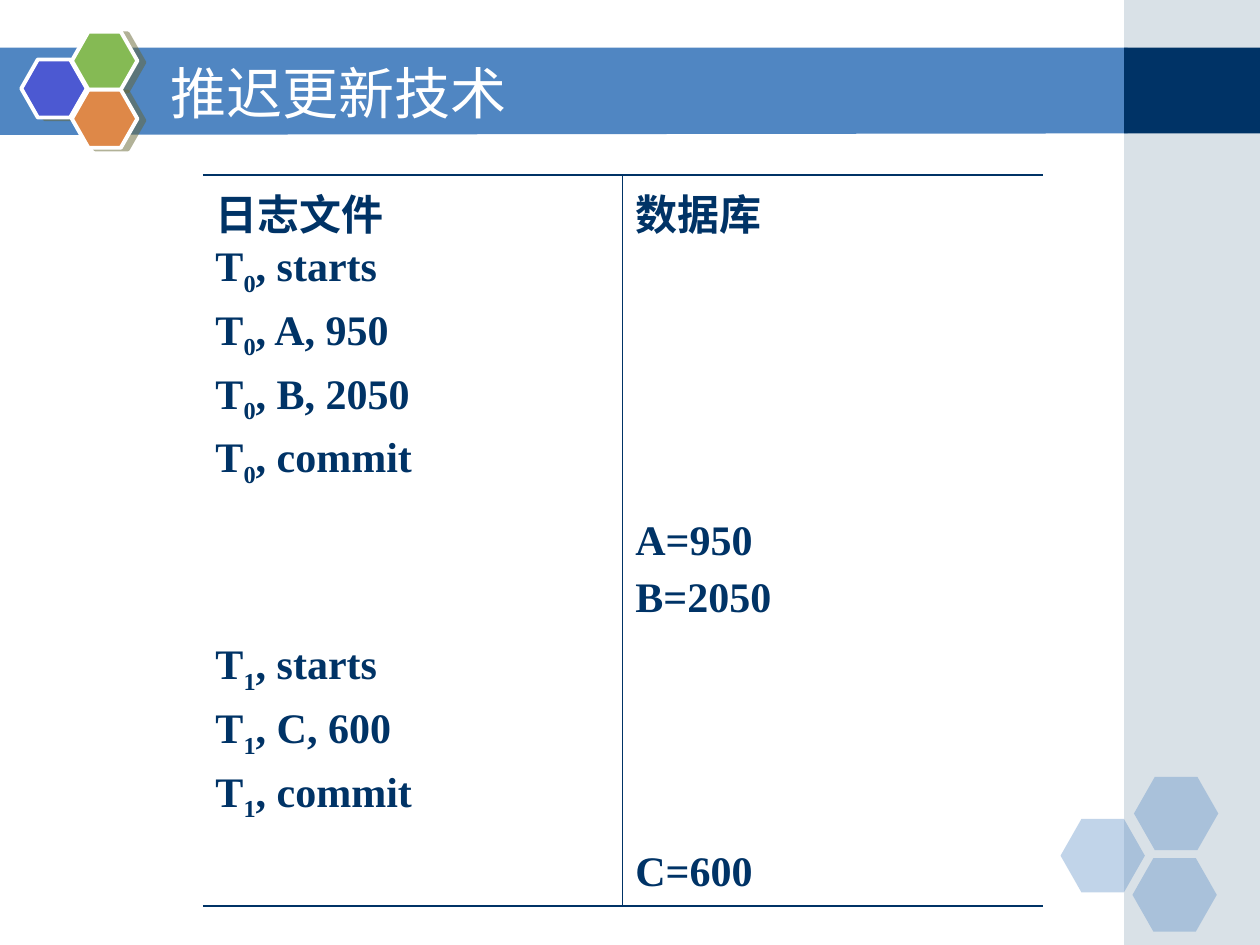
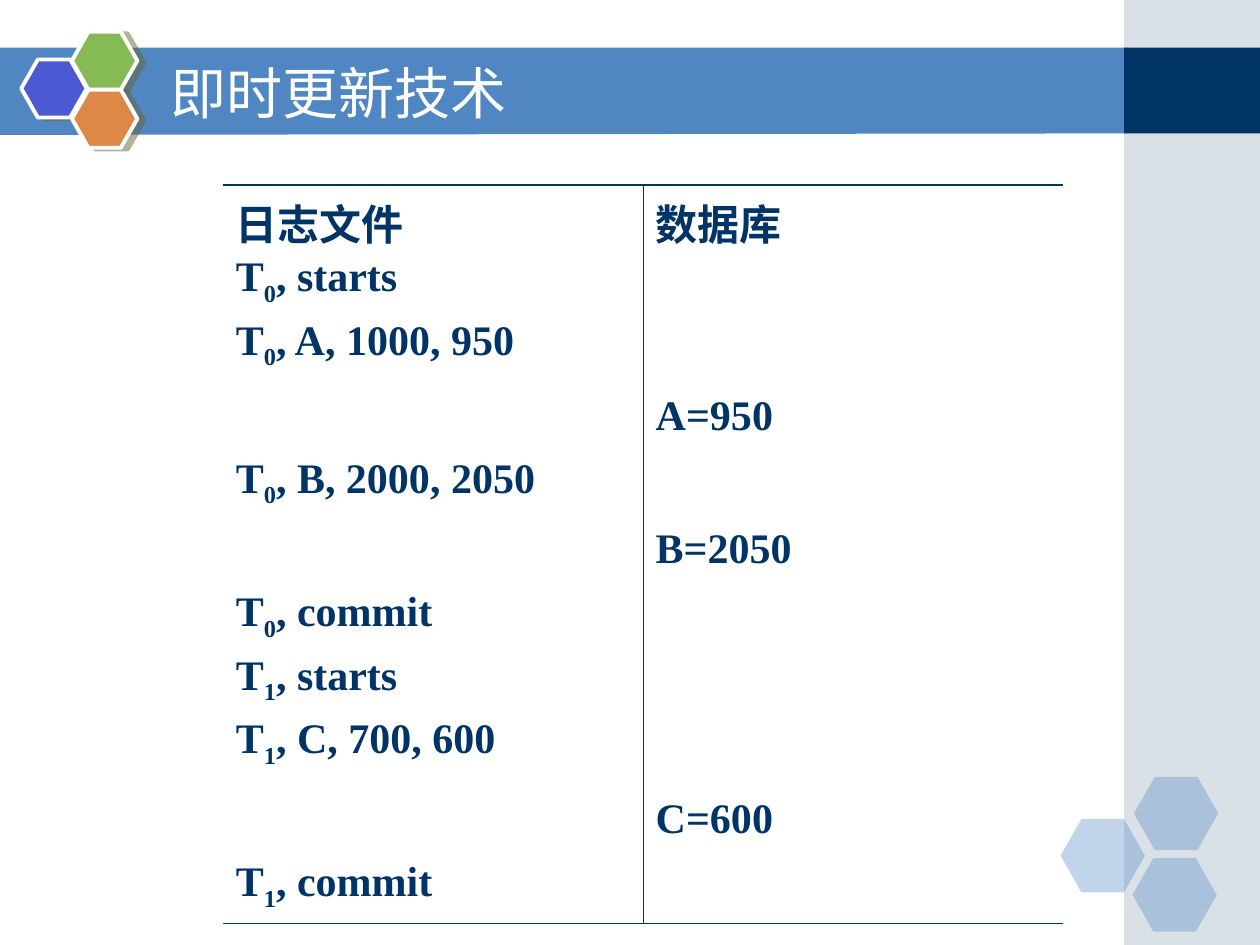
from lxml import etree
from pptx import Presentation
from pptx.dml.color import RGBColor
from pptx.enum.shapes import MSO_SHAPE
from pptx.enum.text import MSO_ANCHOR
from pptx.oxml.ns import qn
from pptx.util import Cm, Pt

RECTANGLE = MSO_SHAPE.RECTANGLE
HEXAGON = MSO_SHAPE.HEXAGON
MIDDLE = MSO_ANCHOR.MIDDLE

COLORS = {
    "band": "5086C2",
    "strip": "A0B5C4",
    "navy": "003366",
    "white": "FFFFFF",
    "violet": "4C59D2",
    "green": "85BA54",
    "orange": "DE8848",
    "shadow": "666633",
}

TITLE_FONT = {"size": Pt(32), "name": "DejaVu Sans"}
TABLE_FONT = {"size": Pt(24), "name": "Times New Roman", "bold": True}
RULE_WIDTH = Pt(1.08)
DIVIDER_WIDTH = Pt(0.45)

# Boxes are left, top, width, height in centimetres.
SLIDE_SIZE = (25.4, 19.05)
STRIP_BOX = (22.66, 0, 2.74, 19.05)
BAND_BOX = (0, 0.96, 22.73, 1.76)
TITLE_BOX = (3.18, 1.07, 18.62, 1.57)
EMBLEM_BOX = (0.43, 0.64, 2.34, 2.34)
CORNER_BOX = (21.38, 15.66, 3.18, 3.12)

HEADER = (1.27, ["日志文件"], ["数据库"])

# Each row is its height, the log lines and the database lines.
SLIDES = [
    ("推迟更新技术", (4.09, 3.53, 16.93), [
        HEADER,
        (5.51, ["T0, starts", "T0, A, 950", "T0, B, 2050", "T0, commit"], []),
        (2.51, [], ["A=950", "B=2050"]),
        (4.17, ["T1, starts", "T1, C, 600", "T1, commit"], []),
        (1.27, [], ["C=600"]),
    ]),
    ("即时更新技术", (4.5, 3.73, 16.93), [
        HEADER,
        (2.79, ["T0, starts", "T0, A, 1000, 950"], []),
        (1.27, [], ["A=950"]),
        (1.42, ["T0, B, 2000, 2050"], []),
        (1.27, [], ["B=2050"]),
        (4.17, ["T0, commit", "T1, starts", "T1, C, 700, 600"], []),
        (1.27, [], ["C=600"]),
        (1.42, ["T1, commit"], []),
    ]),
]


def rgb(color):
    return RGBColor.from_string(COLORS[color])


def add_color(parent, color, alpha=100):
    value = etree.SubElement(parent, qn("a:srgbClr"), val=COLORS[color])
    if alpha < 100:
        etree.SubElement(value, qn("a:alpha"), val=str(alpha * 1000))


def paint(shape, color, alpha=100):
    """Give a shape a plain fill with no line or shadow."""
    shape.shadow.inherit = False
    shape.line.fill.background()
    shape.fill.solid()
    shape.fill.fore_color.rgb = rgb(color)
    if alpha < 100:
        value = shape.fill._xPr.find(".//" + qn("a:srgbClr"))
        etree.SubElement(value, qn("a:alpha"), val=str(alpha * 1000))


def add_filled(slide, preset, box, color, alpha=100):
    shape = slide.shapes.add_shape(preset, *map(Cm, box))
    paint(shape, color, alpha)
    return shape


def add_run(paragraph, text, font_format, color):
    run = paragraph.add_run()
    run.text = text
    for attribute, value in font_format.items():
        setattr(run.font, attribute, value)
    run.font.color.rgb = rgb(color)
    return run


def add_band(slide, box):
    """Draw the title band, whose lower edge rises slightly to the right."""
    left, top, width, height = map(Cm, box)
    right, bottom = left + width, top + height
    outline = slide.shapes.build_freeform(left, top)
    outline.add_line_segments(
        [(right, top), (right, bottom - Cm(0.03)), (left, bottom)])
    paint(outline.convert_to_shape(), "band")


def add_side_strip(slide, box):
    left, _, width, _ = box
    add_filled(slide, RECTANGLE, box, "strip", 40)
    add_filled(slide, RECTANGLE, (left, BAND_BOX[1], width, 1.73), "navy")


def add_hexagons(slide, box, size, offsets, colors, alpha=100):
    left, top = box[:2]
    hexagons = []
    for (dx, dy), color in zip(offsets, colors):
        hexagon = add_filled(
            slide, HEXAGON, (left + dx, top + dy, *size), color, alpha)
        hexagon.adjustments[0] = 0.285
        hexagons.append(hexagon)
    return hexagons


def add_corner(slide, box):
    add_hexagons(slide, box, (1.7, 1.48), [(0, 0.85), (1.48, 0), (1.45, 1.64)],
                 ["band"] * 3, 35)


def add_emblem(slide, box):
    hexagons = add_hexagons(
        slide, box, (1.32, 1.17), [(0, 0.56), (1.02, 0), (1.02, 1.17)],
        ["violet", "green", "orange"])
    for hexagon in hexagons:
        hexagon.line.color.rgb = rgb("white")
        hexagon.line.width = Pt(2.25)
        effects = hexagon._element.spPr.find(qn("a:effectLst"))
        shadow = etree.SubElement(
            effects, qn("a:outerShdw"), dist=str(Pt(4.1)),
            dir=str(14 * 60000), algn="ctr", rotWithShape="0")
        add_color(shadow, "shadow", 50)


def add_title(slide, box, title):
    frame = slide.shapes.add_textbox(*map(Cm, box)).text_frame
    frame.word_wrap = True
    frame.vertical_anchor = MIDDLE
    add_run(frame.paragraphs[0], title, TITLE_FONT, "white")


def set_borders(cell, widths):
    """Draw the sides that have a width and clear the others."""
    properties = cell._tc.get_or_add_tcPr()
    for side in "LRTB":
        width = widths.get(side, 0)
        border = etree.SubElement(properties, qn(f"a:ln{side}"), w=str(width))
        if width:
            add_color(etree.SubElement(border, qn("a:solidFill")), "navy")
        else:
            etree.SubElement(border, qn("a:noFill"))


def write_lines(cell, lines):
    """Write one paragraph a line, lowering the number of a transaction."""
    frame = cell.text_frame
    for index, line in enumerate(lines):
        paragraph = frame.add_paragraph() if index else frame.paragraphs[0]
        if index:
            paragraph.space_before = Pt(6)
        if line.startswith("T"):
            add_run(paragraph, line[0], TABLE_FONT, "navy")
            number = add_run(paragraph, line[1], TABLE_FONT, "navy")
            number._r.get_or_add_rPr().set("baseline", "-25000")
            line = line[2:]
        add_run(paragraph, line, TABLE_FONT, "navy")


def add_log_table(slide, box, rows):
    height = sum(row[0] for row in rows)
    table = slide.shapes.add_table(
        len(rows), 2, *map(Cm, (*box, height))).table
    table.first_row = table.horz_banding = False
    for index, (row_height, *columns) in enumerate(rows):
        table.rows[index].height = Cm(row_height)
        for column, lines in enumerate(columns):
            cell = table.cell(index, column)
            widths = {"RL"[column]: DIVIDER_WIDTH}
            if index == 0:
                widths["T"] = RULE_WIDTH
            if index == len(rows) - 1:
                widths["B"] = RULE_WIDTH
            set_borders(cell, widths)
            cell.fill.background()
            write_lines(cell, lines)


def add_log_slide(presentation, title, table_box, rows):
    slide = presentation.slides.add_slide(presentation.slide_layouts[6])
    add_band(slide, BAND_BOX)
    add_side_strip(slide, STRIP_BOX)
    add_corner(slide, CORNER_BOX)
    add_emblem(slide, EMBLEM_BOX)
    add_title(slide, TITLE_BOX, title)
    add_log_table(slide, table_box, rows)


def main():
    presentation = Presentation()
    presentation.slide_width, presentation.slide_height = map(Cm, SLIDE_SIZE)
    for title, table_box, rows in SLIDES:
        add_log_slide(presentation, title, table_box, rows)
    presentation.save("out.pptx")


if __name__ == "__main__":
    main()
